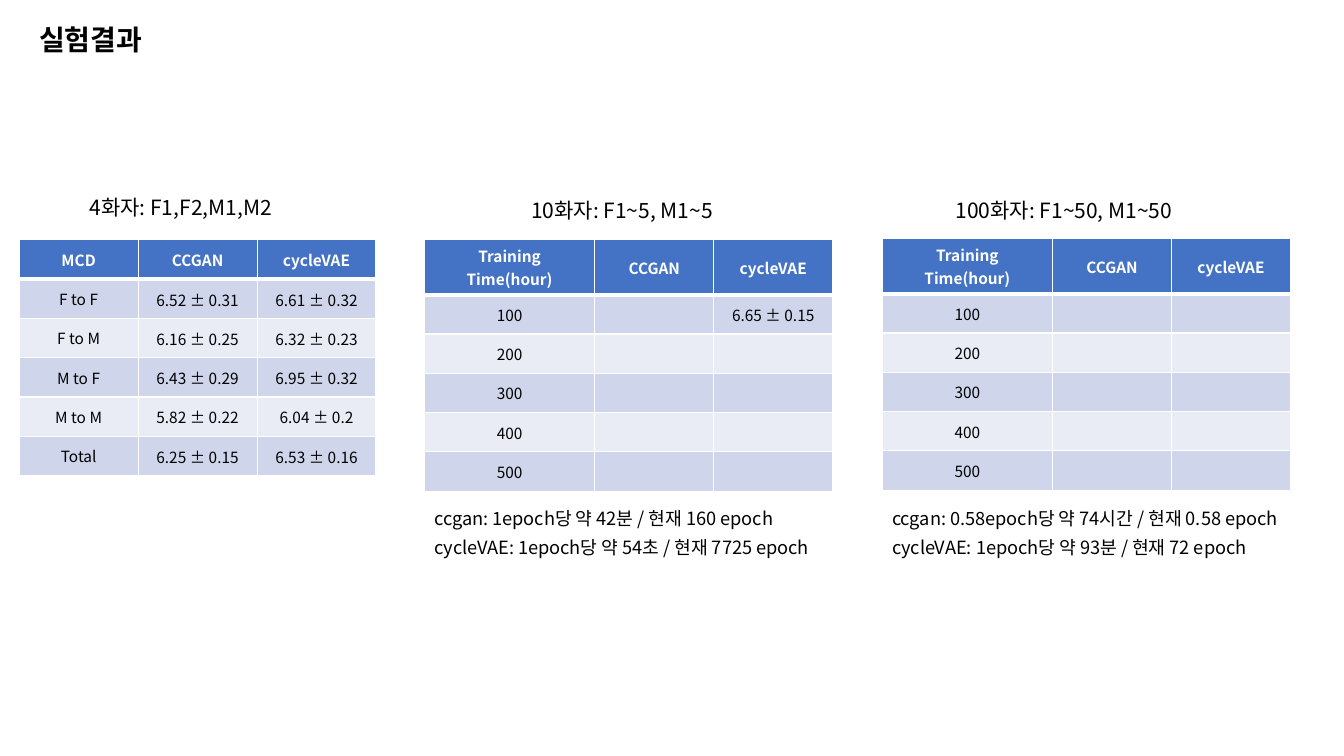
import lxml.etree
import pptx
import pptx.dml.color
import pptx.enum.text
import pptx.oxml.ns
import pptx.util

Inches = pptx.util.Inches
qn = pptx.oxml.ns.qn

FONT = "Noto Sans CJK KR"
BLACK, WHITE, HEADER = "000000", "FFFFFF", "4472C4"
BANDS = ("CFD5EA", "E9EBF5")
ROW_HEIGHT = 0.39
VALUE_WIDTH = 1.18
TIME_WIDTH = 1.69
TIME_HEADER = ("Training Time(hour)", "CCGAN", "cycleVAE")
HOURS = ("100", "200", "300", "400", "500")

MCD_ROWS = [
    ("MCD", "CCGAN", "cycleVAE"),
    ("F to F", "6.52 ± 0.31", "6.61 ± 0.32"),
    ("F to M", "6.16 ± 0.25", "6.32 ± 0.23"),
    ("M to F", "6.43 ± 0.29", "6.95 ± 0.32"),
    ("M to M", "5.82 ± 0.22", "6.04 ± 0.2"),
    ("Total", "6.25 ± 0.15", "6.53 ± 0.16"),
]


def color(value):
    """Turn a hex string into a colour."""
    return pptx.dml.color.RGBColor.from_string(value)


def add_span(para, text, size, ink=BLACK, bold=False):
    """Add one formatted run to a paragraph."""
    span = para.add_run()
    span.text = text
    span.font.name = FONT
    span.font.size = pptx.util.Pt(size)
    span.font.bold = bold
    span.font.color.rgb = color(ink)
    east_asian = lxml.etree.SubElement(span.font._element, qn("a:ea"))
    east_asian.set("typeface", FONT)


def add_text(page, left, top, width, height, lines, size, bold=False, spacing=None, wrap=True):
    """Add a text box with one paragraph per line."""
    box = page.shapes.add_textbox(Inches(left), Inches(top), Inches(width), Inches(height))
    frame = box.text_frame
    frame.word_wrap = wrap
    frame.auto_size = pptx.enum.text.MSO_AUTO_SIZE.SHAPE_TO_FIT_TEXT
    for index, line in enumerate(lines):
        para = frame.add_paragraph() if index else frame.paragraphs[0]
        if spacing:
            para.line_spacing = spacing
        add_span(para, line, size, bold=bold)


def set_borders(cell, bottom):
    """Draw white borders around a cell, with the given bottom weight."""
    properties = cell._tc.get_or_add_tcPr()
    for side, points in (("L", 1), ("R", 1), ("T", 1), ("B", bottom)):
        line = lxml.etree.SubElement(properties, qn("a:ln" + side), w=str(pptx.util.Pt(points)))
        fill = lxml.etree.SubElement(line, qn("a:solidFill"))
        lxml.etree.SubElement(fill, qn("a:srgbClr"), val=WHITE)


def fill_cell(cell, text, row, column):
    """Style a table cell by its place and write its text."""
    is_header = row == 0
    set_borders(cell, 3 if is_header else 1)
    cell.fill.solid()
    cell.fill.fore_color.rgb = color(HEADER if is_header else BANDS[(row - 1) % 2])
    cell.vertical_anchor = pptx.enum.text.MSO_ANCHOR.MIDDLE
    if row and column:
        cell.margin_left = cell.margin_right = cell.margin_top = Inches(0.01)
        cell.margin_bottom = 0
    para = cell.text_frame.paragraphs[0]
    para.alignment = pptx.enum.text.PP_ALIGN.CENTER
    if text:
        add_span(para, text, 11, WHITE if is_header else BLACK, is_header)
    else:
        lxml.etree.SubElement(para._p, qn("a:endParaRPr"), sz="1100")


def add_results(page, left, top, first_width, rows):
    """Add a banded results table."""
    widths = (first_width, VALUE_WIDTH, VALUE_WIDTH)
    frame = page.shapes.add_table(len(rows), len(widths), Inches(left), Inches(top),
                                  Inches(sum(widths)), Inches(ROW_HEIGHT * len(rows)))
    table = frame.table
    for column, width in enumerate(widths):
        table.columns[column].width = Inches(width)
    for row, texts in enumerate(rows):
        table.rows[row].height = Inches(ROW_HEIGHT)
        for column, text in enumerate(texts):
            fill_cell(table.cell(row, column), text, row, column)


def time_rows(scores):
    """List the training time rows, with cycleVAE scores keyed by hour."""
    return [TIME_HEADER] + [(hour, "", scores.get(hour, "")) for hour in HOURS]


def main():
    """Build the slide of experiment results."""
    deck = pptx.Presentation()
    deck.slide_width, deck.slide_height = Inches(13.33), Inches(7.5)
    page = deck.slides.add_slide(deck.slide_layouts[6])

    add_results(page, 0.19, 2.38, VALUE_WIDTH, MCD_ROWS)
    add_results(page, 4.21, 2.38, TIME_WIDTH, time_rows({"100": "6.65 ± 0.15"}))
    add_results(page, 8.75, 2.37, TIME_WIDTH, time_rows({}))

    for left, top, width, caption in (
        (0.79, 1.88, 2.33, "4화자: F1,F2,M1,M2"),
        (5.17, 1.91, 2.75, "10화자: F1~5, M1~5"),
        (9.38, 1.91, 2.97, "100화자: F1~50, M1~50"),
    ):
        add_text(page, left, top, width, 0.39, [caption], 15)

    for left, width, notes in (
        (4.21, 4.34, ["ccgan: 1epoch당 약 42분 / 현재 160 epoch",
                      "cycleVAE: 1epoch당 약 54초 / 현재 7725 epoch"]),
        (8.75, 4.77, ["ccgan: 0.58epoch당 약 74시간 / 현재 0.58 epoch",
                      "cycleVAE: 1epoch당 약 93분 / 현재 72 epoch"]),
    ):
        add_text(page, left, 4.92, width, 0.64, notes, 13, spacing=1.3)

    add_text(page, 0.29, 0.17, 1.32, 0.44, ["실험결과"], 20, bold=True, wrap=False)
    deck.save("out.pptx")


main()
